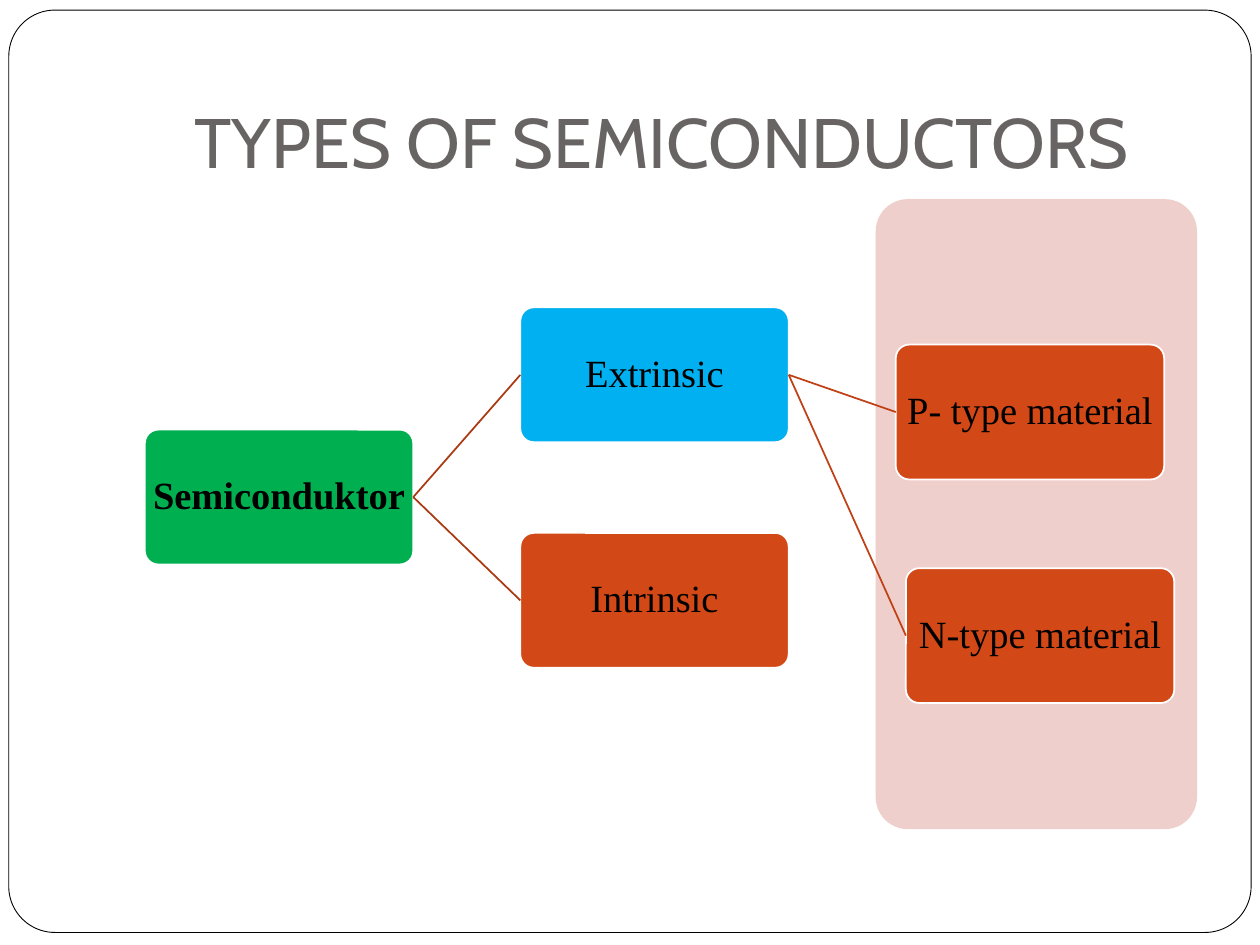
from dataclasses import dataclass

from lxml.etree import SubElement
from pptx import Presentation
from pptx.dml.color import RGBColor
from pptx.enum.shapes import MSO_CONNECTOR as Link, MSO_SHAPE as Kind
from pptx.enum.text import MSO_ANCHOR as Anchor, MSO_AUTO_SIZE as Fit, PP_ALIGN as Align
from pptx.oxml.ns import qn
from pptx.util import Inches, Pt

deck = Presentation()
deck.slide_width, deck.slide_height = Inches(10), Inches(7.5)
slide = deck.slides.add_slide(deck.slide_layouts[5])
shapes = slide.shapes

# Tree grid, in percent of the slide's width or height
LEFT, STEP = 11.5, 29.8
WIDE, HIGH = 21.3, 14.27


@dataclass
class Node:
    text: str
    col: int
    top: float
    fill: str
    bold: bool = False
    shift: float = 0


@dataclass
class Edge:
    start: str
    end: str
    color: str


def across(share: float) -> int:
    return round(deck.slide_width * share / 100)


def down(share: float) -> int:
    return round(deck.slide_height * share / 100)


def tint(code: str) -> RGBColor:
    return RGBColor.from_string(code)


def style(item, **values) -> None:
    for name, value in values.items():
        setattr(item, name, value)


def write(frame, text: str, font: dict, pads: tuple, anchor, space: float = 1) -> None:
    frame.text = text
    sides = ("margin_left", "margin_top", "margin_right", "margin_bottom")
    style(frame, word_wrap=True, auto_size=Fit.NONE, vertical_anchor=anchor,
          **{side: Inches(pad) for side, pad in zip(sides, pads)})
    para = frame.paragraphs[0]
    style(para, alignment=Align.CENTER, line_spacing=space)
    color = font.pop("color")
    style(para.font, **font)
    para.font.color.rgb = tint(color)


def panel(x: float, y: float, w: float, h: float, fill: str,
          line: str = "", width: float = 1, curve: float = 0.1):
    shape = shapes.add_shape(Kind.ROUNDED_RECTANGLE, across(x), down(y), across(w), down(h))
    shape.adjustments[0] = curve
    shape.shadow.inherit = False
    shape.fill.solid()
    shape.fill.fore_color.rgb = tint(fill)
    if line:
        shape.line.color.rgb = tint(line)
        shape.line.width = Pt(width)
    else:
        shape.line.fill.background()
    return shape


def draw_node(node: Node):
    box = panel(LEFT + STEP * node.col + node.shift, node.top, WIDE, HIGH, node.fill, "FFFFFF")
    font = dict(name="Times New Roman", size=Pt(22), bold=node.bold, color="000000")
    write(box.text_frame, node.text, font, (0.02,) * 4, Anchor.MIDDLE, 0.9)
    return box


def draw_edge(edge: Edge, boxes: dict) -> None:
    line = shapes.add_connector(Link.STRAIGHT, 0, 0, 0, 0)
    line.begin_connect(boxes[edge.start], 3)  # right side
    line.end_connect(boxes[edge.end], 1)  # left side
    line.line.color.rgb = tint(edge.color)
    line.line.width = Pt(1)
    SubElement(line._element.spPr, qn("a:effectLst"))


# Page frame, behind the title
page = panel(0.7, 1.07, 98.6, 97.6, "FFFFFF", "000000", 0.5, 0.05)
shapes._spTree.insert(2, page._element)

# Title
title = shapes.title
style(title, left=across(10), top=down(4), width=across(85), height=down(16.67))
write(title.text_frame, "TYPES OF SEMICONDUCTORS",
      dict(name="Cabin", size=Pt(40), color="696464"), (0.1, 0.05, 0.1, 0.1), Anchor.BOTTOM)

# Band behind the material types
panel(69.5, 21.07, 25.5, 66.67, "EFCFCC")

# Tree
nodes = [
    Node("Semiconduktor", 0, 45.47, "00B050", bold=True),
    Node("Extrinsic", 1, 32.53, "00B0F0"),
    Node("P- type material", 2, 36.47, "D34817"),
    Node("N-type material", 2, 60.13, "D34817", shift=0.8),
    Node("Intrinsic", 1, 56.4, "D34817"),
]
edges = [
    Edge("Semiconduktor", "Extrinsic", "A93A12"),
    Edge("Semiconduktor", "Intrinsic", "A93A12"),
    Edge("Extrinsic", "P- type material", "BF4115"),
    Edge("Extrinsic", "N-type material", "BF4115"),
]
boxes = {node.text: draw_node(node) for node in nodes}
for edge in edges:
    draw_edge(edge, boxes)

deck.save("out.pptx")
